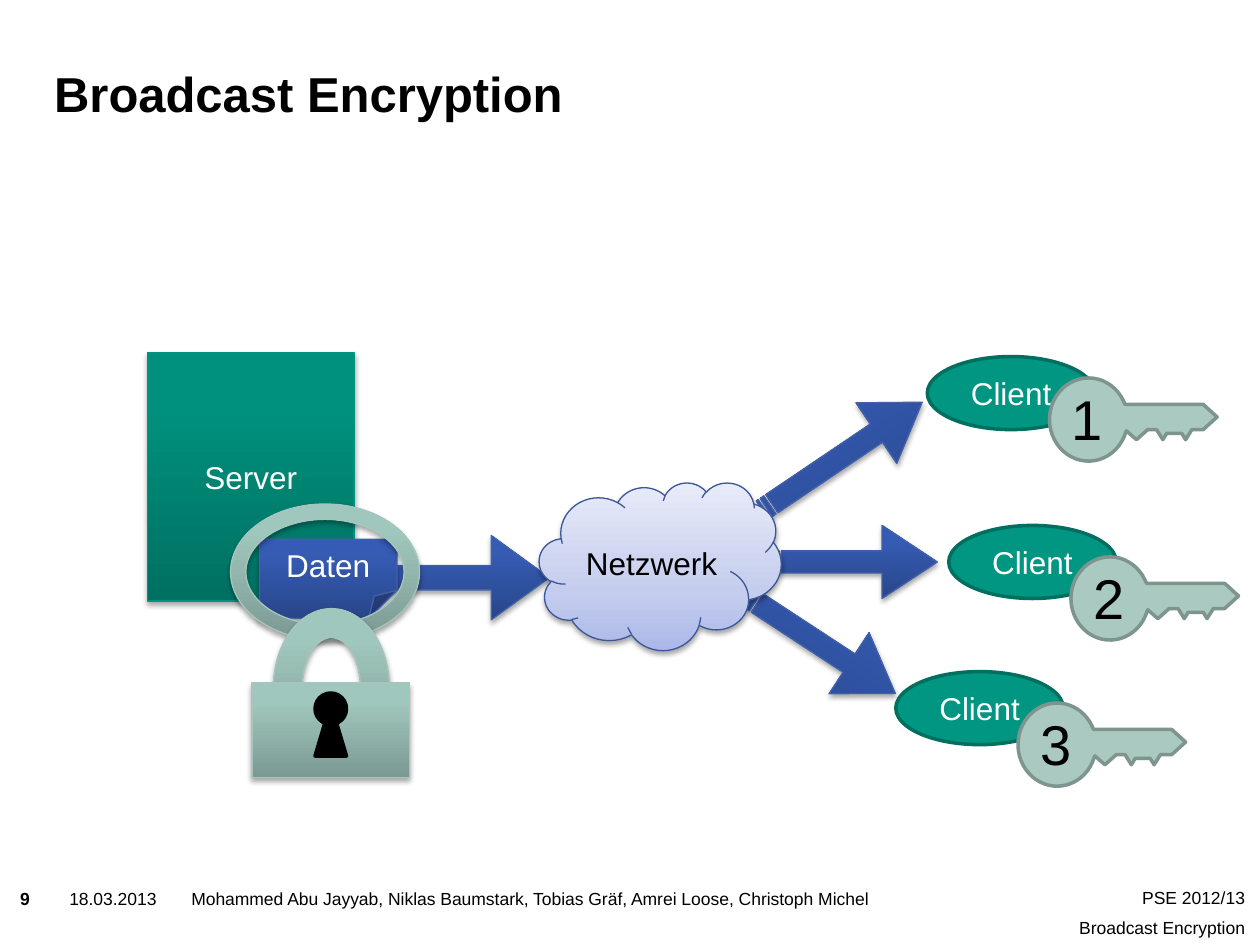
from dataclasses import dataclass
from math import cos, radians, sin

from lxml import etree
from pptx import Presentation
from pptx import util as u
from pptx.dml.color import RGBColor
from pptx.enum import shapes, text
from pptx.oxml.ns import qn

Kind = shapes.MSO_SHAPE
Align = text.PP_ALIGN
Anchor = text.MSO_ANCHOR


@dataclass(frozen=True)
class Theme:
    font: str = "Arial"
    small: int = 10
    body: int = 18
    head: int = 28
    digit: int = 32
    black: str = "000000"
    white: str = "FFFFFF"
    client: tuple = ("009682", "006F60")
    key: tuple = ("AAC9C1", "7E958F")
    green: tuple = ("00937F", (0, "007061"), (80, "00917E"), (100, "00927F"))
    blue: tuple = ("4261A9", (0, "29468A"), (80, "355BB3"), (100, "335BB7"))
    steel: tuple = ("A5C5BD", (0, "7B9992"), (80, "A0C7BD"), (100, "A0C9BE"))
    cloud: tuple = ("3B5799", (0, "ABB8E9"), (35, "C5CDEE"), (100, "E8EBF9"))


T = Theme()


def inches(*box):
    return [u.Inches(v) for v in box]


def add_color(parent, color, alpha=None):
    node = etree.SubElement(parent, qn("a:srgbClr"), val=color)
    if alpha:
        etree.SubElement(node, qn("a:alpha"), val=str(alpha * 1000))


def write(shape, words, size, color, align=Align.LEFT, bold=False):
    frame = shape.text_frame
    frame.text = words
    for para in frame.paragraphs:
        para.alignment = align
        for run in para.runs:
            run.font.name = T.font
            run.font.size = u.Pt(size)
            run.font.bold = bold
            run.font.color.rgb = RGBColor.from_string(color)


def label(slide, box, words, size=T.small, inset=0, wrap=True, **style):
    item = slide.shapes.add_textbox(*inches(*box))
    frame = item.text_frame
    frame.word_wrap = wrap
    frame.margin_left = frame.margin_right = u.Inches(inset)
    frame.margin_top = frame.margin_bottom = u.Inches(inset / 2)
    write(item, words, size, T.black, **style)
    return item


def outline(shape, color, width):
    shape.line.color.rgb = RGBColor.from_string(color)
    shape.line.width = u.Pt(width)
    shape.shadow.inherit = False


def paint(shape, fill, line):
    shape.fill.solid()
    shape.fill.fore_color.rgb = RGBColor.from_string(fill)
    outline(shape, line, 2)


def glaze(shape, line, *stops):
    shape.fill.gradient()
    shape.fill.gradient_angle = 90
    ramp = shape.element.spPr.find(".//" + qn("a:gsLst"))
    for old in list(ramp):
        ramp.remove(old)
    for place, color in stops:
        add_color(etree.SubElement(ramp, qn("a:gs"), pos=str(place * 1000)), color)
    outline(shape, line, 0.75)
    glow = shape.element.spPr.find(qn("a:effectLst"))
    cast = etree.SubElement(
        glow, qn("a:outerShdw"), blurRad=str(u.Pt(3.1)), dist=str(u.Pt(1.8)),
        dir="5400000", rotWithShape="0")
    add_color(cast, T.black, 35)


def bend(shape, **guides):
    preset = shape.element.spPr.find(qn("a:prstGeom"))
    for old in list(preset):
        preset.remove(old)
    values = etree.SubElement(preset, qn("a:avLst"))
    for name, value in guides.items():
        etree.SubElement(values, qn("a:gd"), name=name,
                         fmla=f"val {round(value * 100000)}")


def block(slide, kind, box, look, words="", color=T.white, turn=0, **guides):
    item = slide.shapes.add_shape(kind, *inches(*box))
    if guides:
        bend(item, **guides)
    item.rotation = turn
    (glaze if len(look) > 2 else paint)(item, *look)
    if words:
        item.text_frame.vertical_anchor = Anchor.MIDDLE
        write(item, words, T.body, color, Align.CENTER)


def header(slide, box):
    item = label(slide, box, "Broadcast Encryption", T.head, bold=True)
    item.text_frame.vertical_anchor = Anchor.BOTTOM


def footer(slide, left, top):
    label(slide, (left, top, 0.36, 0.24), "9", bold=True)
    label(slide, (left + 0.39, top, 0.94, 0.39), "18.03.2013")
    label(slide, (left + 1.26, top - 0.05, 5.83, 0.27),
          "Mohammed Abu Jayyab, Niklas Baumstark, Tobias Gräf, "
          "Amrei Loose, Christoph Michel", inset=0.1)
    item = label(slide, (left + 7.51, top - 0.01, 2.21, 0.39),
                 "PSE 2012/13\nBroadcast Encryption", align=Align.RIGHT)
    item.text_frame.paragraphs[1].space_before = u.Pt(5)


def server(slide, left, top):
    block(slide, Kind.RECTANGLE, (left, top, 1.64, 1.97), T.green, "Server")
    block(slide, Kind.FOLDED_CORNER, (left + 0.89, top + 1.48, 1.09, 0.63),
          T.blue, "Daten", adj=0.356)


def network(slide, left, top):
    for dx, dy, width, turn in (
            (1.64, -0.5, 1.53, 326), (1.54, 1, 1.4, 33.2), (1.83, 0.34, 1.33, 0)):
        block(slide, Kind.STRIPED_RIGHT_ARROW, (left + dx, top + dy, width, 0.58),
              T.blue, turn=turn, adj1=0.3, adj2=0.756)
    block(slide, Kind.CLOUD, (left, top, 1.92, 1.33), T.cloud, "Netzwerk", T.black)


def padlock(slide, left, top):
    dark = (T.black, T.black)
    block(slide, Kind.DONUT, (left, top, 1.5, 1.08), T.steel, adj=0.113)
    block(slide, Kind.BLOCK_ARC, (left + 0.34, top + 0.83, 0.92, 1.25), T.steel)
    block(slide, Kind.RECTANGLE, (left + 0.17, top + 1.42, 1.25, 0.75), T.steel)
    block(slide, Kind.OVAL, (left + 0.67, top + 1.5, 0.25, 0.25), dark)
    block(slide, Kind.ISOSCELES_TRIANGLE, (left + 0.67, top + 1.58, 0.25, 0.42), dark)


def key(slide, left, top, digit):
    teeth = [(0.6, 0.21), (1.22, 0.21), (1.33, 0.31), (1.22, 0.41), (1.13, 0.41),
             (1.08, 0.49), (1.05, 0.44), (0.93, 0.44), (0.9, 0.49), (0.85, 0.41),
             (0.78, 0.41), (0.69, 0.49), (0.61, 0.42)]
    bow = [(0.31 + 0.31 * cos(radians(a)), 0.33 + 0.33 * sin(radians(a)))
           for a in range(18, 340, 7)]
    points = [inches(left + x, top + y) for x, y in teeth + bow]
    pen = slide.shapes.build_freeform(*points[0])
    pen.add_line_segments(points[1:], close=True)
    paint(pen.convert_to_shape(), *T.key)
    label(slide, (left + 0.08, top, 0.33, 0.64), digit, T.digit, inset=0.1, wrap=False)


def client(slide, left, top, drop, digit):
    block(slide, Kind.OVAL, (left, top, 1.33, 0.58), T.client, "Client")
    key(slide, left + 0.97, top + drop, digit)


def main():
    deck = Presentation()
    deck.slide_width, deck.slide_height = inches(10, 7.5)
    slide = deck.slides.add_slide(deck.slide_layouts[6])
    header(slide, (0.43, 0.36, 7.56, 0.61))
    footer(slide, 0.16, 7.05)
    block(slide, Kind.RIGHT_ARROW, (3.11, 4.25, 1.25, 0.67), T.blue,
          adj1=0.29, adj2=0.689)
    server(slide, 1.17, 2.8)
    network(slide, 4.28, 3.83)
    padlock(slide, 1.83, 4)
    client(slide, 7.36, 2.83, 0.17, "1")
    client(slide, 7.53, 4.17, 0.25, "2")
    client(slide, 7.11, 5.33, 0.25, "3")
    deck.save("out.pptx")


if __name__ == "__main__":
    main()
